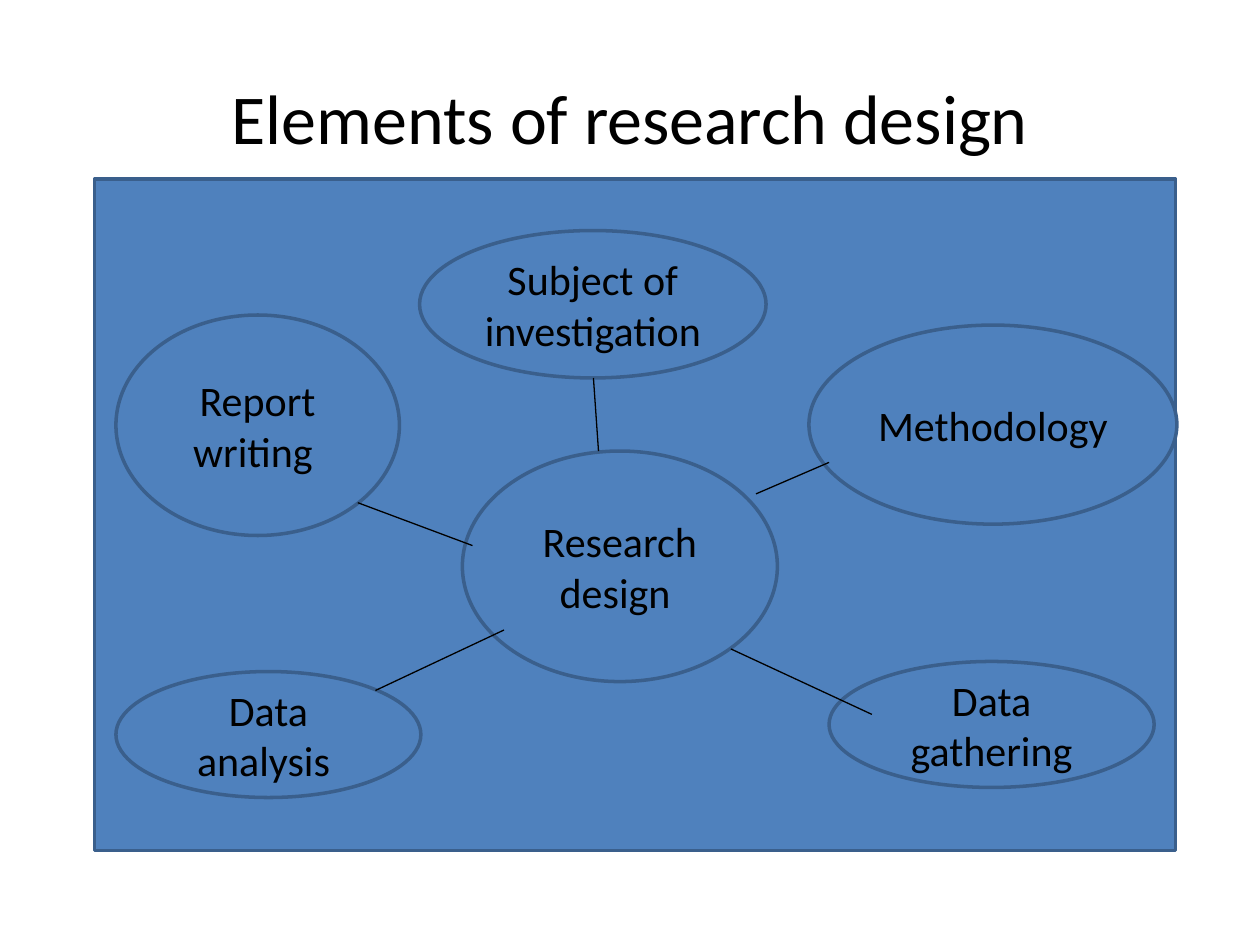
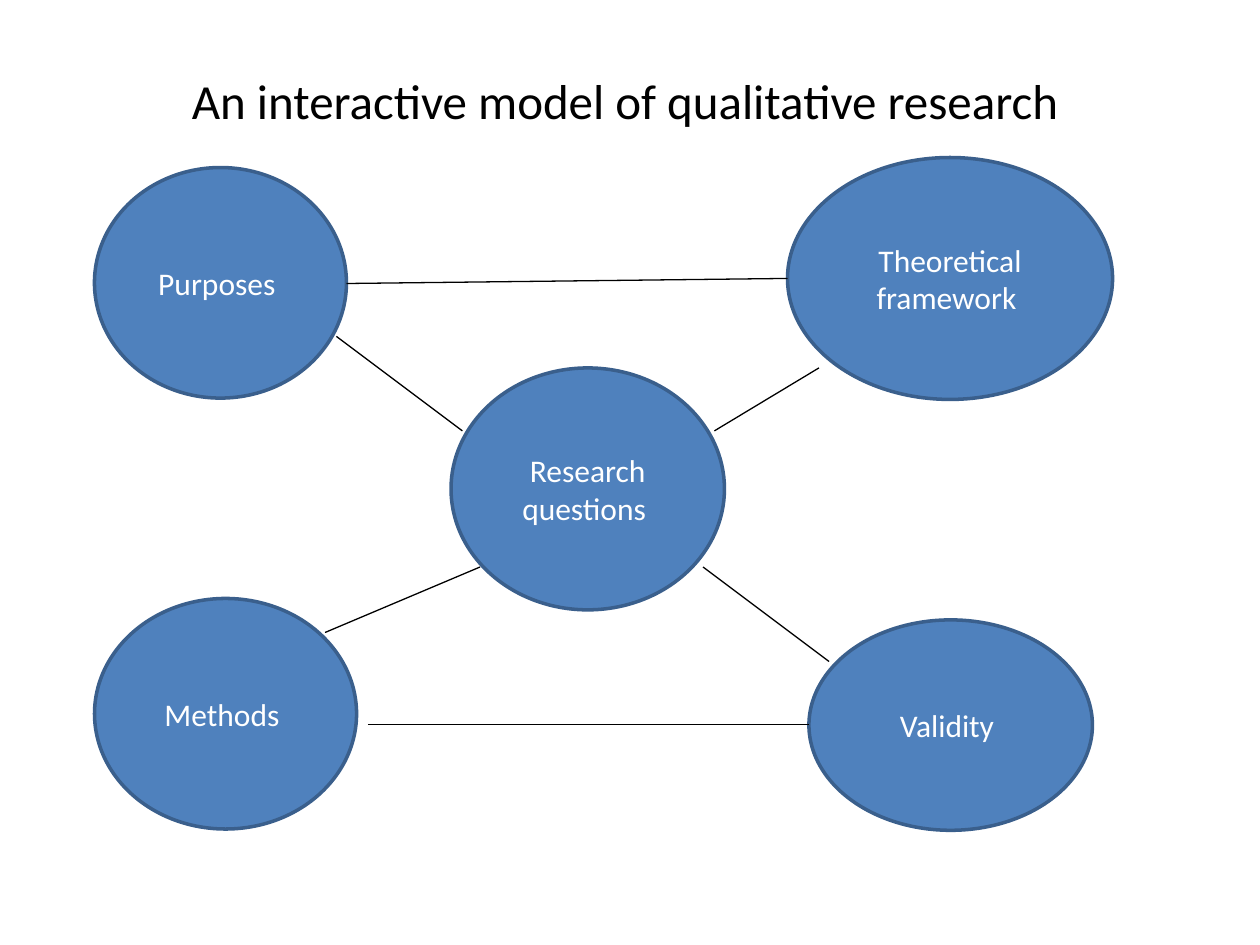
from dataclasses import dataclass

from lxml import etree
from pptx import Presentation
from pptx.dml.color import RGBColor
from pptx.enum import shapes, text
from pptx.oxml.ns import qn
from pptx.util import Inches, Pt


# Shared look
@dataclass(frozen=True)
class Theme:
    font: str = "Calibri"
    blue: RGBColor = RGBColor(0x4F, 0x81, 0xBD)
    edge: RGBColor = RGBColor(0x3A, 0x5F, 0x8C)
    black: RGBColor = RGBColor(0, 0, 0)
    white: RGBColor = RGBColor(255, 255, 255)
    head: int = 40
    subhead: int = 28
    large: int = 24
    small: int = 18
    border: float = 2
    link: float = 0.75


THEME = Theme()
KIND = shapes.MSO_SHAPE


def write(frame, words, size, color):
    """Centre one paragraph in a text frame."""
    frame.word_wrap = True
    frame.vertical_anchor = text.MSO_ANCHOR.MIDDLE
    para = frame.paragraphs[0]
    para.text = words
    para.alignment = text.PP_ALIGN.CENTER
    para.font.name = THEME.font
    para.font.size = Pt(size)
    para.font.color.rgb = color


def add_page(deck, title, box, size):
    """Add a title-only slide with its title moved to box."""
    page = deck.slides.add_slide(deck.slide_layouts[5])
    head = page.shapes.title
    head.left, head.top, head.width, head.height = map(Inches, box)
    write(head.text_frame, title, size, THEME.black)
    return page


def add_block(page, kind, box):
    """Add a blue shape with a darker edge."""
    block = page.shapes.add_shape(kind, *map(Inches, box))
    block.shadow.inherit = False
    block.fill.solid()
    block.fill.fore_color.rgb = THEME.blue
    block.line.color.rgb = THEME.edge
    block.line.width = Pt(THEME.border)
    return block


def add_nodes(page, nodes, size, color):
    """Add labelled ellipses."""
    for words, box in nodes:
        node = add_block(page, KIND.OVAL, box)
        write(node.text_frame, words, size, color)


def add_links(page, links):
    """Add thin straight lines, each given as x1, y1, x2, y2."""
    for ends in links:
        link = page.shapes.add_connector(
            shapes.MSO_CONNECTOR.STRAIGHT, *map(Inches, ends))
        link.line.color.rgb = THEME.black
        link.line.width = Pt(THEME.link)
        etree.SubElement(link._element.spPr, qn("a:effectLst"))


def add_elements(deck):
    """Research design and its five elements on a blue panel."""
    page = add_page(deck, "Elements of research design",
                    (0.5, 0.3, 9, 1.25), THEME.head)
    add_block(page, KIND.RECTANGLE, (0.75, 1.42, 8.58, 5.33))
    add_nodes(page, [
        ("Research design ", (3.67, 3.58, 2.5, 1.83)),
        ("Methodology ", (6.42, 2.58, 2.92, 1.58)),
        ("Data gathering", (6.58, 5.25, 2.58, 1)),
        ("Subject of investigation", (3.33, 1.83, 2.75, 1.17)),
        ("Report writing ", (0.92, 2.5, 2.25, 1.75)),
        ("Data analysis ", (0.92, 5.33, 2.42, 1)),
    ], THEME.large, THEME.black)
    add_links(page, [
        (4.71, 3, 4.75, 3.58),
        (2.84, 3.99, 3.75, 4.33),
        (2.98, 5.48, 4, 5),
        (6, 3.92, 6.58, 3.67),
        (5.8, 5.15, 6.92, 5.67),
    ])


def add_model(deck):
    """Research questions linked to four parts of the model."""
    page = add_page(deck, "An interactive model of qualitative research",
                    (0.25, 0.42, 9.42, 0.75), THEME.subhead)
    add_nodes(page, [
        ("Research questions ", (3.58, 2.92, 2.17, 1.92)),
        ("Purposes ", (0.75, 1.33, 2, 1.83)),
        ("Theoretical framework ", (6.25, 1.25, 2.58, 1.92)),
        ("Methods ", (0.75, 4.75, 2.08, 1.83)),
        ("Validity ", (6.42, 4.92, 2.25, 1.67)),
    ], THEME.small, THEME.white)
    add_links(page, [
        (2.75, 2.25, 6.25, 2.21),
        (2.92, 5.75, 6.42, 5.75),
        (2.67, 2.67, 3.67, 3.42),
        (5.58, 4.5, 6.58, 5.25),
        (2.58, 5.02, 3.81, 4.5),
        (5.67, 3.42, 6.5, 2.92),
    ])


def main():
    deck = Presentation()
    deck.slide_width, deck.slide_height = Inches(10), Inches(7.5)
    add_elements(deck)
    add_model(deck)
    deck.save("out.pptx")


if __name__ == "__main__":
    main()
